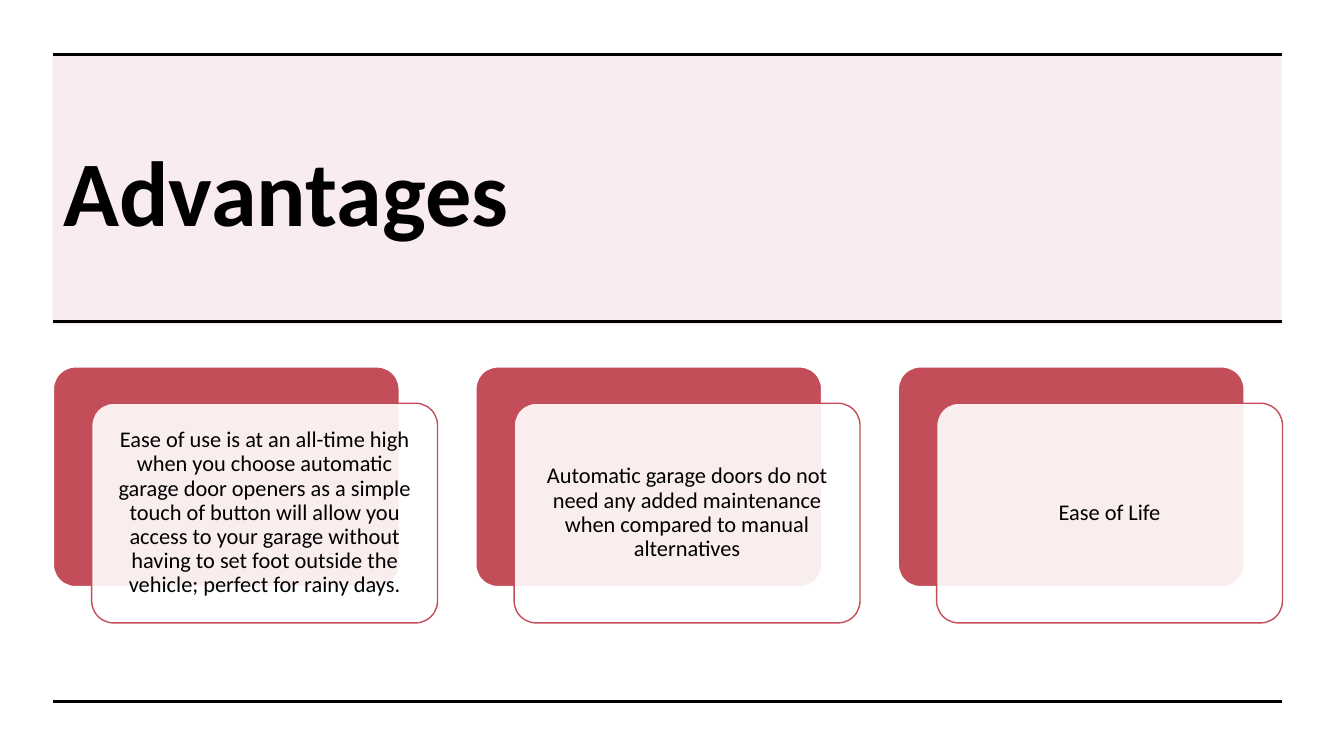
from lxml import etree
from pptx import Presentation
from pptx.dml.color import RGBColor
from pptx.enum.shapes import MSO_CONNECTOR, MSO_SHAPE
from pptx.enum.text import MSO_ANCHOR, MSO_AUTO_SIZE, PP_ALIGN
from pptx.oxml.ns import qn
from pptx.util import Pt

PX = 9144  # 100 px to the inch
STRAIGHT = MSO_CONNECTOR.STRAIGHT
RECTANGLE = MSO_SHAPE.RECTANGLE
ROUNDED = MSO_SHAPE.ROUNDED_RECTANGLE
MIDDLE = MSO_ANCHOR.MIDDLE
NO_AUTOFIT = MSO_AUTO_SIZE.NONE
LEFT, CENTER = PP_ALIGN.LEFT, PP_ALIGN.CENTER
TITLE_ONLY = 5

COLORS = {"accent": "C34D59", "white": "FFFFFF", "black": "000000"}

LINE_LEFT, LINE_RIGHT = 53, 1272
LINE_TOPS = [54, 319, 696]
CARD_LEFT, CARD_TOP, CARD_PITCH = 53, 364, 419
CARD_WIDTH, CARD_HEIGHT = 343, 218
FRONT_SHIFT_X, FRONT_SHIFT_Y = 38, 36
TEXT_INSET = 6

ADVANTAGES = [
    "Ease of use is at an all-time high when you choose automatic garage door "
    "openers as a simple touch of button will allow you access to your garage "
    "without having to set foot outside the vehicle; perfect for rainy days.",
    "Automatic garage doors do not need any added maintenance when compared "
    "to manual alternatives",
    "Ease of Life",
]


def color(name):
    return RGBColor.from_string(COLORS[name])


def px(*lengths):
    return [length * PX for length in lengths]


class SlideBuilder:
    font = "Calibri"

    def __init__(self, slide):
        self.slide = slide

    def fill_text(self, frame, text, size, align, bold=False):
        """Fill a text frame with one styled paragraph and return it."""
        frame.word_wrap = True
        frame.auto_size = NO_AUTOFIT
        frame.vertical_anchor = MIDDLE
        paragraph = frame.paragraphs[0]
        paragraph.alignment = align
        run = paragraph.add_run()
        run.text = text
        run.font.name = self.font
        run.font.size = Pt(size)
        run.font.bold = bold
        run.font.color.rgb = color("black")
        return paragraph

    def title(self, text, left, top, width, height):
        title = self.slide.shapes.title
        title.left, title.top, title.width, title.height = px(left, top, width, height)
        self.fill_text(title.text_frame, text, 66, LEFT, bold=True)

    def box(self, kind, left, top, width, height, fill, opacity=100, line=None):
        shape = self.slide.shapes.add_shape(kind, *px(left, top, width, height))
        shape.shadow.inherit = False
        shape.fill.solid()
        shape.fill.fore_color.rgb = color(fill)
        if opacity < 100:
            fill_color = shape._element.spPr.find(qn("a:solidFill"))[0]
            etree.SubElement(fill_color, qn("a:alpha"), val=str(opacity * 1000))
        if line:
            shape.line.color.rgb = color(line)
            shape.line.width = Pt(1)
        else:
            shape.line.fill.background()
        return shape

    def rule(self, top):
        connector = self.slide.shapes.add_connector(
            STRAIGHT, *px(LINE_LEFT, top, LINE_RIGHT, top))
        connector.line.color.rgb = color("black")
        connector.line.width = Pt(2.25)
        etree.SubElement(connector._element.spPr, qn("a:effectLst"))

    def text(self, text, left, top, width, height):
        text_box = self.slide.shapes.add_textbox(*px(left, top, width, height))
        frame = text_box.text_frame
        frame.margin_left = frame.margin_right = 7 * PX
        frame.margin_top = frame.margin_bottom = 7 * PX
        paragraph = self.fill_text(frame, text, 16, CENTER)
        paragraph.line_spacing = 0.9
        paragraph.space_after = Pt(5.6)

    def card(self, text, left, top):
        """Draw a solid card, a translucent one shifted over it, and its text."""
        size = (CARD_WIDTH, CARD_HEIGHT)
        front_left, front_top = left + FRONT_SHIFT_X, top + FRONT_SHIFT_Y
        back = self.box(ROUNDED, left, top, *size, "accent", line="white")
        front = self.box(ROUNDED, front_left, front_top, *size, "white", 90, "accent")
        for shape in (back, front):
            shape.adjustments[0] = 0.1
        self.text(text, front_left + TEXT_INSET, front_top + TEXT_INSET,
                  CARD_WIDTH - 2 * TEXT_INSET, CARD_HEIGHT - 2 * TEXT_INSET)


def main():
    presentation = Presentation()
    presentation.slide_width, presentation.slide_height = px(1333, 750)
    slide = presentation.slides.add_slide(presentation.slide_layouts[TITLE_ONLY])
    builder = SlideBuilder(slide)

    band = builder.box(RECTANGLE, 52, 53, 1219, 269, "accent", 10)
    builder.title("Advantages", 53, 107, 1133, 163)
    slide.shapes.title._element.addprevious(band._element)
    for top in LINE_TOPS:
        builder.rule(top)
    for index, advantage in enumerate(ADVANTAGES):
        builder.card(advantage, CARD_LEFT + index * CARD_PITCH, CARD_TOP)

    presentation.save("out.pptx")


if __name__ == "__main__":
    main()
